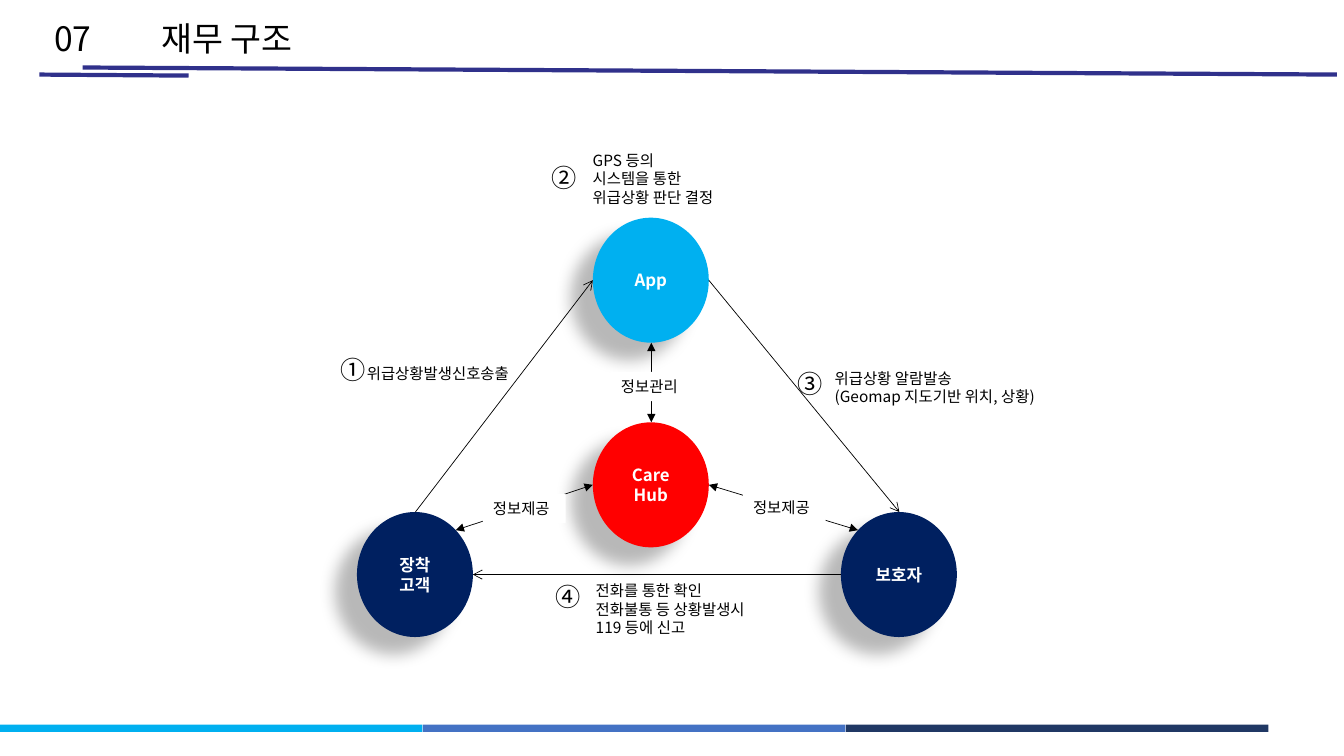
from lxml.etree import SubElement
from pptx import Presentation
from pptx.dml.color import RGBColor
from pptx.enum.shapes import MSO_CONNECTOR, MSO_SHAPE
from pptx.enum.text import MSO_ANCHOR, MSO_AUTO_SIZE, PP_ALIGN
from pptx.oxml.ns import qn
from pptx.util import Inches, Pt

FONT = "Noto Sans CJK KR"
BLACK, WHITE, NAVY, CYAN, RULE = "000000", "FFFFFF", "002060", "00B0F0", "30318B"
NODE_W, NODE_H = 1.15, 1.24


def color(value):
    return RGBColor.from_string(value)


def write(frame, lines, size, ink=BLACK, bold=False, align=PP_ALIGN.LEFT):
    for i, line in enumerate(lines):
        para = frame.paragraphs[0] if i == 0 else frame.add_paragraph()
        para.alignment = align
        run = para.add_run()
        run.text = line
        font = run.font
        font.size, font.bold, font.name = Pt(size), bold, FONT
        font.color.rgb = color(ink)
        SubElement(run._r.get_or_add_rPr(), qn("a:ea"), typeface=FONT)


def add_text(slide, box, lines, size=11, wrap=False):
    frame = slide.shapes.add_textbox(*map(Inches, box)).text_frame
    frame.word_wrap = wrap
    frame.auto_size = MSO_AUTO_SIZE.SHAPE_TO_FIT_TEXT
    write(frame, lines, size)


def add_block(slide, kind, box, fill):
    shape = slide.shapes.add_shape(kind, *map(Inches, box))
    shape.shadow.inherit = False
    shape.fill.solid()
    shape.fill.fore_color.rgb = color(fill)
    shape.line.fill.background()
    return shape


def add_label(slide, left, top, text):
    """White plate that interrupts an arrow behind its caption."""
    frame = add_block(slide, MSO_SHAPE.RECTANGLE, (left, top, 0.82, 0.29), WHITE).text_frame
    frame.word_wrap = False
    frame.auto_size = MSO_AUTO_SIZE.SHAPE_TO_FIT_TEXT
    frame.vertical_anchor = MSO_ANCHOR.TOP
    write(frame, [text], 11)


def add_node(slide, left, top, fill, lines):
    node = add_block(slide, MSO_SHAPE.OVAL, (left, top, NODE_W, NODE_H), fill)
    effects = node._element.spPr.find(qn("a:effectLst"))
    shadow = SubElement(effects, qn("a:outerShdw"), blurRad=str(Pt(11.8)),
                        dist=str(Pt(19.7)), dir=str(141 * 60000),
                        algn="tr", rotWithShape="0")
    tint = SubElement(shadow, qn("a:srgbClr"), val=BLACK)
    SubElement(tint, qn("a:alpha"), val="28000")
    frame = node.text_frame
    frame.vertical_anchor = MSO_ANCHOR.MIDDLE
    write(frame, lines, 12, WHITE, True, PP_ALIGN.CENTER)


def add_line(slide, start, end, ink=BLACK, width=0.5, head=None, tail=None):
    line = slide.shapes.add_connector(MSO_CONNECTOR.STRAIGHT, *map(Inches, start + end))
    line.line.color.rgb = color(ink)
    line.line.width = Pt(width)
    props = line._element.spPr
    for tag, kind in (("a:headEnd", head), ("a:tailEnd", tail)):
        if kind:
            SubElement(props.find(qn("a:ln")), qn(tag), type=kind)
    SubElement(props, qn("a:effectLst"))


def add_frame(slide):
    for i, fill in enumerate((CYAN, "4472C4", "203864")):
        add_block(slide, MSO_SHAPE.RECTANGLE, (i * 4.195, 7.19, 4.19, 0.07), fill)
    add_line(slide, (0.82, 0.67), (13.26, 0.74), RULE, 3)
    add_line(slide, (0.39, 0.74), (1.87, 0.75), RULE, 3)
    add_text(slide, (0.44, 0.13, 0.57, 0.5), ["07"], 24)
    add_text(slide, (1.5, 0.13, 1.67, 0.5), ["재무 구조"], 24)


def add_flow(slide):
    for node in (
        (3.54, 5.08, NAVY, ["장착", "고객"]),
        (5.88, 4.19, "FF0000", ["Care", "Hub"]),
        (8.34, 5.08, NAVY, ["보호자"]),
        (5.88, 2.16, CYAN, ["App"]),
    ):
        add_node(slide, *node)

    for start, end in (
        ((4.12, 5.08), (5.88, 2.78)),
        ((7.03, 2.78), (8.92, 5.08)),
        ((8.34, 5.7), (4.69, 5.7)),
    ):
        add_line(slide, start, end, tail="arrow")

    add_text(slide, (3.54, 3.56, 1.74, 0.29), ["위급상황발생신호송출"])
    add_text(slide, (8.18, 3.61, 2.24, 0.47),
             ["위급상황 알람발송", "(Geomap 지도기반 위치, 상황)"], wrap=True)
    add_text(slide, (5.78, 1.45, 1.54, 0.66),
             ["GPS 등의", "시스템을 통한", "위급상황 판단 결정"])
    add_text(slide, (5.81, 5.72, 1.85, 0.66),
             ["전화를 통한 확인", "전화불통 등 상황발생시", "119 등에 신고"])

    for step, left, top in (("①", 3.28, 3.47), ("②", 5.37, 1.56),
                            ("③", 7.81, 3.61), ("④", 5.41, 5.72)):
        add_text(slide, (left, top, 0.45, 0.4), [step], 18)

    for start, end in (
        ((5.88, 4.81), (4.52, 5.26)),
        ((8.51, 5.26), (7.03, 4.81)),
        ((6.46, 4.19), (6.46, 3.4)),
    ):
        add_line(slide, start, end, head="triangle", tail="triangle")

    add_label(slide, 6.06, 3.69, "정보관리")
    add_label(slide, 4.79, 4.9, "정보제공")
    add_label(slide, 7.37, 4.89, "정보제공")


def main():
    deck = Presentation()
    deck.slide_width, deck.slide_height = Inches(13.33), Inches(7.5)
    slide = deck.slides.add_slide(deck.slide_layouts[6])
    add_frame(slide)
    add_flow(slide)
    deck.save("out.pptx")


if __name__ == "__main__":
    main()
